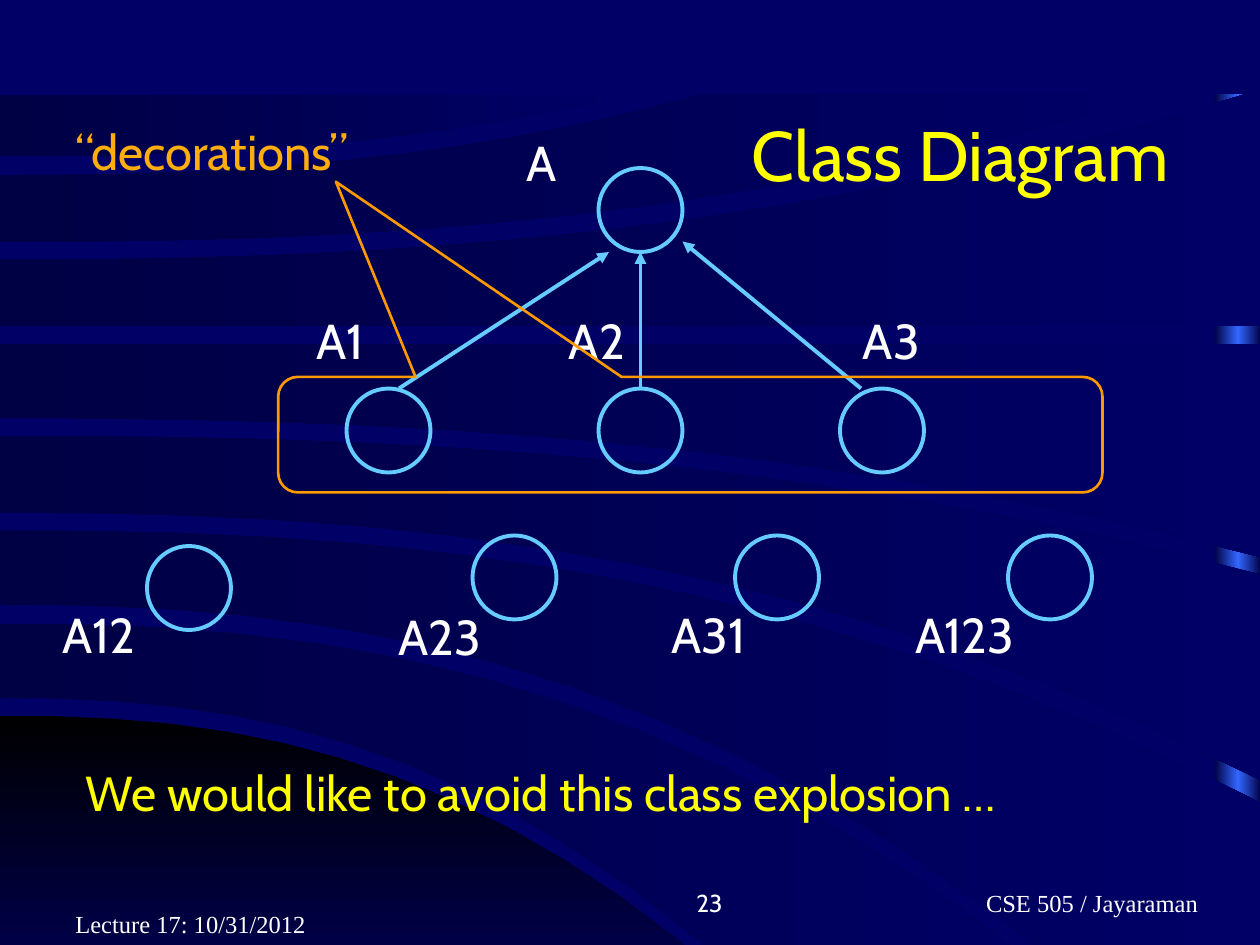
"""Build the Class Diagram slide: a class tree on a dark blue field of curved bands."""
from copy import deepcopy

from lxml import etree
from pptx import Presentation
from pptx.dml.color import RGBColor
from pptx.enum.shapes import MSO_CONNECTOR, MSO_SHAPE
from pptx.enum.text import MSO_ANCHOR, PP_ALIGN
from pptx.oxml.ns import qn
from pptx.util import Inches, Pt

STRAIGHT = MSO_CONNECTOR.STRAIGHT
RECTANGLE, OVAL = MSO_SHAPE.RECTANGLE, MSO_SHAPE.OVAL
CALLOUT = MSO_SHAPE.ROUNDED_RECTANGULAR_CALLOUT
LEFT, CENTER, RIGHT = PP_ALIGN.LEFT, PP_ALIGN.CENTER, PP_ALIGN.RIGHT
TOP, BOTTOM = MSO_ANCHOR.TOP, MSO_ANCHOR.BOTTOM

COLORS = {
    "field": "000066", "shade": "000044", "black": "000000", "glow": "3366FF",
    "white": "FFFFFF", "yellow": "FFFF00", "node": "66CCFF",
    "callout": "FF9900", "decoration": "FFAE0D",
}
WIDTH, HEIGHT = 10, 7.5
CELL = 1 / 12
NODE_SIZE = 8
LABEL_HEIGHT = 6.8
CEILING, FLOOR = 0.75, 8.25
BEND = 2.4
STEPS = 14

CORNER_CURVE = (5.68, 7.88)
BAND_CURVES = [
    ((4.95, 4.33), (5.54, 7.92)),
    ((4.21, 2.16), (4.8, 4.33)),
    ((3.46, 1.1), (4.07, 2.12)),
    ((2.73, 0), (3.32, 1.1)),
    ((2.06, -1.35), (2.59, 0)),
    ((1.39, -2.6), (1.92, -1.43)),
]
TOP_CURVE = (1.24, -2.56)

NODE_ROWS = {16: [57], 37: [33, 57, 80], 52: [14], 51: [45, 70, 96]}
INHERITANCE = [((38, 37), (58, 24)), ((61, 37), (61, 24)), ((82, 37), (65, 23))]
LABELS = [
    ("A", 49, 12), ("A1", 29, 29), ("A2", 53, 29), ("A3", 81, 29),
    ("A12", 4.8, 57), ("A23", 36.8, 57.2), ("A31", 62.8, 57), ("A123", 86, 57),
]
LABEL_WIDTHS = {1: 5.2, 2: 8, 3: 10.7, 4: 13.3}
LABEL_FORMAT = {"size": Pt(28), "name": "Cabin"}
TITLE_FORMAT = {"size": Pt(40), "name": "Cabin"}
NUMBER_FORMAT = {"size": Pt(14), "name": "Cabin"}
FOOTER_FORMAT = {"size": Pt(14), "name": "Times New Roman"}


def cells(*counts):
    return [Inches(count * CELL) for count in counts]


def rgb(color):
    return RGBColor.from_string(COLORS[color])


def limit_of(drop):
    return FLOOR if drop > 0 else CEILING


def trace(start, drop):
    reach = 1
    if drop:
        reach = min(1, ((limit_of(drop) - start) / drop) ** (1 / BEND))
    shares = [reach * step / STEPS for step in range(STEPS + 1)]
    return [(WIDTH * share, start + drop * share ** BEND) for share in shares]


def wedge(start, drop):
    return trace(start, drop) + [(0, limit_of(drop))]


def band(upper, lower):
    above, below = trace(*upper), trace(*lower)
    corner = []
    if (above[-1][0] < WIDTH) != (below[-1][0] < WIDTH):
        clipped = upper if above[-1][0] < WIDTH else lower
        corner = [(WIDTH, limit_of(clipped[1]))]
    return above + corner + below[::-1]


def shade(shape, colors, angle=0):
    shape.shadow.inherit = False
    shape.line.fill.background()
    shape.fill.gradient()
    shape.fill.gradient_angle = angle
    stop_list = next(shape._element.iter(qn("a:gsLst")))
    while len(stop_list) < len(colors):
        stop_list.append(deepcopy(stop_list[0]))
    for order, (stop, color) in enumerate(zip(shape.fill.gradient_stops, colors)):
        stop.position = order / (len(colors) - 1)
        stop.color.rgb = rgb(color)


def add_area(slide, points):
    corners = [(Inches(x), Inches(y)) for x, y in points]
    builder = slide.shapes.build_freeform(*corners[0])
    builder.add_line_segments(corners[1:], close=True)
    return builder.convert_to_shape()


def add_outline(slide, preset, box, color, width):
    outline = slide.shapes.add_shape(preset, *cells(*box))
    outline.shadow.inherit = False
    outline.fill.background()
    outline.line.color.rgb = rgb(color)
    outline.line.width = Pt(width)
    return outline


def add_arrow(slide, start, end):
    arrow = slide.shapes.add_connector(STRAIGHT, *cells(*start, *end))
    arrow.line.color.rgb = rgb("node")
    arrow.line.width = Pt(2.25)
    etree.SubElement(arrow.line._get_or_add_ln(), qn("a:tailEnd"), type="triangle")
    etree.SubElement(arrow._element.spPr, qn("a:effectLst"))


def add_text(slide, words, box, color="white", font=LABEL_FORMAT, align=LEFT,
             anchor=TOP, inset=0.1):
    frame = slide.shapes.add_textbox(*cells(*box)).text_frame
    settings = {"word_wrap": True, "vertical_anchor": anchor, "margin_left": Inches(inset)}
    for key, value in settings.items():
        setattr(frame, key, value)
    paragraph = frame.paragraphs[0]
    paragraph.alignment = align
    run = paragraph.add_run()
    run.text = words
    for key, value in font.items():
        setattr(run.font, key, value)
    run.font.color.rgb = rgb(color)


def main():
    deck = Presentation()
    deck.slide_width, deck.slide_height = Inches(WIDTH), Inches(HEIGHT)
    slide = deck.slides.add_slide(deck.slide_layouts[6])
    slide.background.fill.solid()
    slide.background.fill.fore_color.rgb = rgb("field")

    strip = slide.shapes.add_shape(
        RECTANGLE, Inches(9.64), Inches(CEILING), Inches(0.37), Inches(HEIGHT))
    shade(strip, ["shade", "glow", "shade"])
    shade(add_area(slide, wedge(*CORNER_CURVE)), ["black", "field"], 270)
    for area in [band(*curves) for curves in BAND_CURVES] + [wedge(*TOP_CURVE)]:
        shade(add_area(slide, area), ["shade", "field"])

    for row, columns in NODE_ROWS.items():
        for column in columns:
            add_outline(slide, OVAL, (column, row, NODE_SIZE, NODE_SIZE), "node", 2.25)
    for start, end in INHERITANCE:
        add_arrow(slide, start, end)
    for words, column, row in LABELS:
        add_text(slide, words, (column, row, LABEL_WIDTHS[len(words)], LABEL_HEIGHT))

    add_text(slide, "Class Diagram", (70.4, 10, 47.3, 9.2), "yellow", TITLE_FORMAT)
    add_text(slide, "We would like to avoid this class explosion …",
             (7, 72, 99.7, LABEL_HEIGHT), "yellow")
    add_text(slide, "Lecture 17: 10/31/2012", (6, 84, 25, 6), font=FOOTER_FORMAT,
             anchor=BOTTOM)
    add_text(slide, "23", (45, 82, 25, 6), font=NUMBER_FORMAT, align=RIGHT,
             anchor=BOTTOM)
    add_text(slide, "CSE 505 / Jayaraman", (79, 82, 38, 6), font=FOOTER_FORMAT,
             align=CENTER, anchor=BOTTOM, inset=1.1)

    callout = add_outline(slide, CALLOUT, (26.5, 35.9, 78.5, 11), "callout", 1.5)
    for order, share in enumerate((-0.43, -2.19, 0.17)):
        callout.adjustments[order] = share
    add_text(slide, "“decorations”", (6, 11, 32, LABEL_HEIGHT), "decoration")

    deck.save("out.pptx")


if __name__ == "__main__":
    main()
